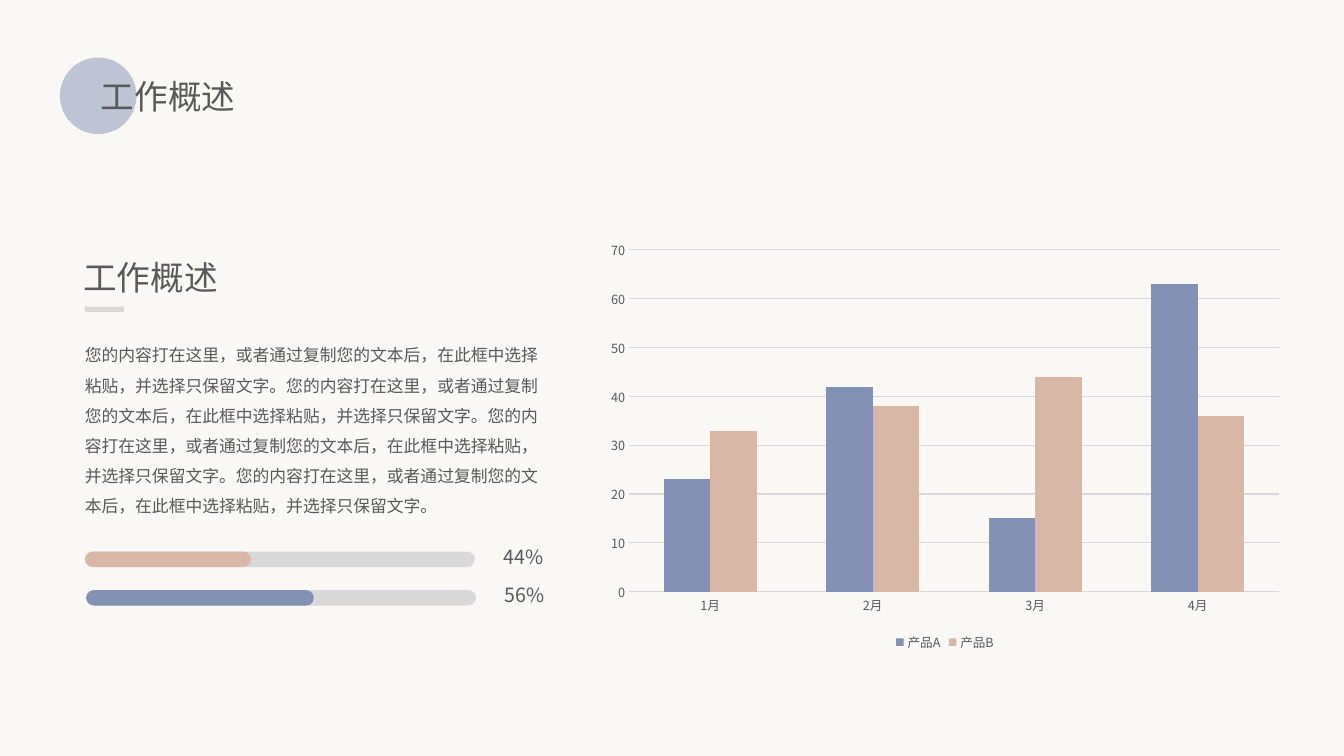
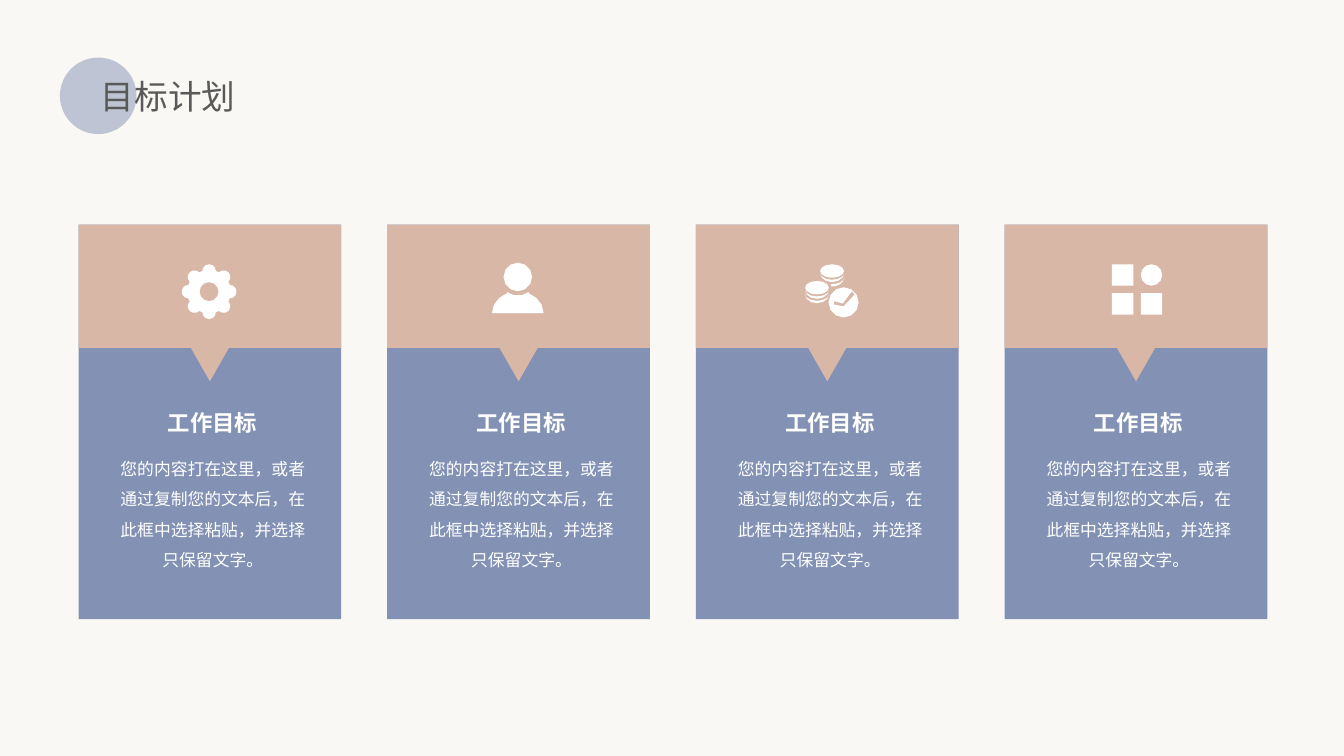
from dataclasses import dataclass
from math import ceil, cos, radians, sin

from lxml import etree
from pptx import Presentation, util as u
from pptx.chart.data import CategoryChartData
from pptx.dml.color import RGBColor
from pptx.enum import chart as ch, shapes, text
from pptx.oxml.ns import qn


@dataclass(frozen=True)
class Theme:
    font: str = "Noto Sans CJK SC"
    paper: RGBColor = RGBColor(0xFA, 0xF8, 0xF4)
    ink: RGBColor = RGBColor(0x59, 0x59, 0x59)
    blue: RGBColor = RGBColor(0x83, 0x92, 0xB4)
    rose: RGBColor = RGBColor(0xD8, 0xB7, 0xA7)
    grey: RGBColor = RGBColor(0xD9, 0xD9, 0xD9)
    white: RGBColor = RGBColor(0xFF, 0xFF, 0xFF)
    title: int = 24
    head: int = 16
    label: int = 14
    body: int = 12
    axis: int = 9


T = Theme()
KIND = shapes.MSO_SHAPE
SENTENCE = "您的内容打在这里，或者通过复制您的文本后，在此框中选择粘贴，并选择只保留文字。"


def draw(s, form, fill, x, y, w=0, h=0):
    """Add a preset shape, or a list of outlines made of points and arcs, in cm."""
    if isinstance(form, list):
        builder = None
        for outline in form:
            pts = []
            for part in outline:
                if len(part) == 2:
                    pts.append(part)
                else:  # cx, cy, rx, ry, first and last angle
                    cx, cy, rx, ry, a, b = part
                    n = ceil(abs(b - a) / 30)
                    # A full turn closes itself, so its last point is left out
                    count = n if abs(b - a) == 360 else n + 1
                    angles = [radians(a + (b - a) * k / n) for k in range(count)]
                    pts += [(cx + rx * cos(t), cy + ry * sin(t)) for t in angles]
            pts = [(u.Cm(x + px), u.Cm(y + py)) for px, py in pts]
            if builder is None:
                builder = s.shapes.build_freeform(*pts[0])
            else:
                builder.move_to(*pts[0])
            builder.add_line_segments(pts[1:], close=True)
        sp = builder.convert_to_shape()
    else:
        sp = s.shapes.add_shape(form, u.Cm(x), u.Cm(y), u.Cm(w), u.Cm(h))
    sp.shadow.inherit = False
    sp.fill.solid()
    sp.fill.fore_color.rgb = fill
    sp.line.fill.background()
    return sp


def write(sp, words, size, x, y, w, h, color=T.ink, block=False, center=False,
          bold=False, spacing=None):
    """Place and format text; a block wraps and has no insets."""
    sp.left, sp.top, sp.width, sp.height = (u.Cm(v) for v in (x, y, w, h))
    tf = sp.text_frame
    tf.text = words
    tf.word_wrap = block
    tf.auto_size = text.MSO_AUTO_SIZE.SHAPE_TO_FIT_TEXT
    tf.vertical_anchor = text.MSO_ANCHOR.TOP
    if block:
        tf.margin_left = tf.margin_right = tf.margin_top = tf.margin_bottom = 0
    p = tf.paragraphs[0]
    p.alignment = text.PP_ALIGN.CENTER if center else text.PP_ALIGN.LEFT
    if spacing:
        p.line_spacing = spacing
    font = p.runs[0].font
    font.name, font.size, font.bold = T.font, u.Pt(size), bold
    font.color.rgb = color
    for latin in sp.element.iter(qn("a:latin")):
        latin.addnext(etree.Element(qn("a:ea"), typeface=T.font))


prs = Presentation()
prs.slide_width, prs.slide_height = u.Cm(33.87), u.Cm(19.05)
fill = prs.slide_master.background.fill
fill.solid()
fill.fore_color.rgb = T.paper

# Slides with the shared title and its translucent disc
for heading in ("工作概述", "目标计划"):
    s = prs.slides.add_slide(prs.slide_layouts[5])
    title = s.shapes.title
    write(title, heading, T.title, 2.29, 1.78, 3.94, 1.27)
    disc = draw(s, KIND.OVAL, T.blue, 1.51, 1.45, 1.93, 1.93)
    tint = next(disc.element.iter(qn("a:srgbClr")))
    etree.SubElement(tint, qn("a:alpha"), val="50000")
    title.element.addprevious(disc.element)
overview, goals = prs.slides

# Overview: heading, rule and text
s = overview
write(s.shapes.add_textbox(0, 0, 0, 0), "工作概述", T.title, 1.85, 6.35, 3.94, 1.27)
draw(s, KIND.RECTANGLE, T.grey, 2.14, 7.73, 0.99, 0.13)
write(s.shapes.add_textbox(0, 0, 0, 0), SENTENCE * 4, T.body,
      2.14, 8.44, 11.68, 4.62, block=True, spacing=1.5)

# Overview: progress bars
for x, y, done, color, share in ((2.14, 13.9, 4.19, T.rose, "44%"),
                                 (2.17, 14.87, 5.74, T.blue, "56%")):
    for width, paint in ((9.83, T.grey), (done, color)):
        bar = draw(s, KIND.ROUNDED_RECTANGLE, paint, x, y, width, 0.39)
        bar.adjustments[0] = 0.5
    write(s.shapes.add_textbox(0, 0, 0, 0), share, T.label, x + 10.3, y - 0.3, 1.55, 0.86)

# Overview: column chart
cd = CategoryChartData()
cd.categories = ["1月", "2月", "3月", "4月"]
cd.add_series("产品A", (23, 42, 15, 63))
cd.add_series("产品B", (33, 38, 44, 36))
chart = s.shapes.add_chart(ch.XL_CHART_TYPE.COLUMN_CLUSTERED, u.Cm(15.05), u.Cm(5.86),
                           u.Cm(17.53), u.Cm(10.65), cd).chart
chart.has_title = False
chart.font.name, chart.font.size = T.font, u.Pt(T.axis)
chart.font.color.rgb = T.ink
for latin in chart.element.iter(qn("a:latin")):
    latin.addnext(etree.Element(qn("a:ea"), typeface=T.font))
chart.has_legend = True
chart.legend.position = ch.XL_LEGEND_POSITION.BOTTOM
chart.legend.include_in_layout = False
for axis in (chart.category_axis, chart.value_axis):
    axis.major_tick_mark = axis.minor_tick_mark = ch.XL_TICK_MARK.NONE
    axis.format.line.fill.background()
axis = chart.value_axis
axis.minimum_scale, axis.maximum_scale, axis.major_unit = 0, 70, 10
axis.major_gridlines.format.line.width = u.Pt(0.75)
axis.major_gridlines.format.line.color.rgb = T.grey
plot = chart.plots[0]
plot.gap_width, plot.overlap, plot.vary_by_categories = 150, 0, False
for series, color in zip(plot.series, (T.blue, T.rose)):
    series.format.fill.solid()
    series.format.fill.fore_color.rgb = color

# Goals: icon outlines, measured from the icon centre
gear = [
    [(0.52 * cos(radians(a)), 0.52 * sin(radians(a)), 0.17, 0.17, a - 90, a + 90)
     for a in range(0, 360, 45)],
    [(0, 0, 0.24, 0.24, 0, 360)],
]
person = [
    [(0, -0.37, 0.36, 0.36, 0, 360)],
    [(0, 0.54, 0.65, 0.55, 180, 245), (0, -0.37, 0.47, 0.47, 126, 54),
     (0, 0.54, 0.65, 0.55, 295, 360)],
]
coins = [[(cx, cy, 0.3, 0.17, 0, 360)] for cx, cy in ((0.14, -0.52), (-0.24, -0.1))]
coins += [
    [(cx, cy, 0.3, 0.22, 0, end), (cx, cy, 0.3, 0.16, end, 0)]
    for cx, cy, end in ((0.14, -0.46, 180), (0.14, -0.35, 95),
                        (-0.24, -0.04, 180), (-0.24, 0.07, 180))
]
coins += [
    [(0.43, 0.27, 0.38, 0.38, 0, 360)],
    [(0.43, 0.37), (0.18, 0.32), (0.2, 0.24), (0.41, 0.3), (0.64, -0.01), (0.71, 0.07)],
]
tiles = [
    [(x, y), (x + 0.54, y), (x + 0.54, y + 0.54), (x, y + 0.54)]
    for x, y in ((-0.59, -0.69), (-0.59, 0.04), (0.14, 0.04))
]
tiles.append([(0.41, -0.42, 0.27, 0.27, 0, 360)])

# Goals: four cards with a pointed header
s = goals
card_w, card_h, band_h = 6.62, 9.94, 3.11
top, mid = 5.66, card_w / 2
header = [[(0, 0), (card_w, 0), (card_w, band_h), (mid + 0.48, band_h),
           (mid, band_h + 0.84), (mid - 0.48, band_h), (0, band_h)]]
lefts = [1.98 + 7.78 * i for i in range(4)]
for left in lefts:
    draw(s, KIND.RECTANGLE, T.blue, left, top, card_w, card_h)
    write(s.shapes.add_textbox(0, 0, 0, 0), "工作目标", T.head, left + 1.9, 10.31, 2.95, 0.69,
          T.white, block=True, center=True, bold=True)
    write(s.shapes.add_textbox(0, 0, 0, 0), SENTENCE, T.body, left + 0.87, 11.31, 5.03, 3.07,
          T.white, block=True, center=True, spacing=1.5)
for left, icon in zip(lefts, (gear, person, coins, tiles)):
    draw(s, header, T.rose, left, top)
    draw(s, icon, T.white, left + mid - 0.02, 7.35)

prs.save("out.pptx")
